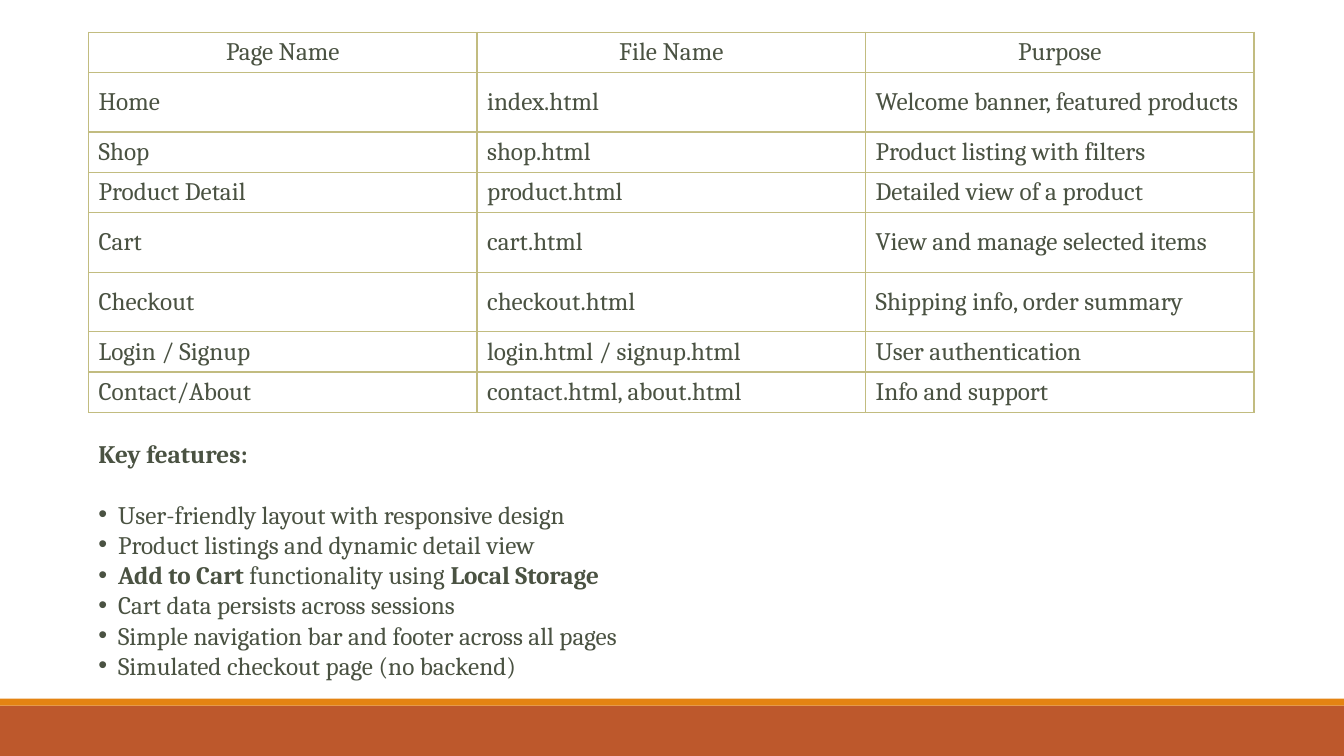
from lxml import etree
from pptx import Presentation
from pptx.dml.color import RGBColor
from pptx.enum import shapes, text
from pptx.oxml import parse_xml
from pptx.oxml.ns import nsdecls, qn
from pptx.util import Pt

GREEN = RGBColor(0x4A, 0x52, 0x42)
KHAKI = RGBColor(0xC2, 0xBC, 0x80)
RUST = RGBColor(0xBD, 0x58, 0x2C)
ORANGE = RGBColor(0xE4, 0x83, 0x12)

SHORT_ROW, TALL_ROW = 28.8, 42.5
PAGES = [
    (SHORT_ROW, "Page Name", "File Name", "Purpose"),
    (TALL_ROW, "Home", "index.html", "Welcome banner, featured products"),
    (SHORT_ROW, "Shop", "shop.html", "Product listing with filters"),
    (SHORT_ROW, "Product Detail", "product.html", "Detailed view of a product"),
    (TALL_ROW, "Cart", "cart.html", "View and manage selected items"),
    (TALL_ROW, "Checkout", "checkout.html", "Shipping info, order summary"),
    (SHORT_ROW, "Login / Signup", "login.html / signup.html", "User authentication"),
    (SHORT_ROW, "Contact/About", "contact.html, about.html", "Info and support"),
]
# Each feature is a list of (wording, bold) runs
FEATURES = [
    [("User-friendly layout with responsive design", False)],
    [("Product listings and dynamic detail view", False)],
    [("Add to Cart", True), (" functionality using ", False), ("Local Storage", True)],
    [("Cart data persists across sessions", False)],
    [("Simple navigation bar and footer across all pages", False)],
    [("Simulated checkout page (no backend)", False)],
]


def style_font(paragraph):
    paragraph.font.name = "Cambria"
    paragraph.font.size = Pt(18)
    paragraph.font.color.rgb = GREEN


presentation = Presentation()
presentation.slide_width, presentation.slide_height = Pt(960), Pt(540)
slide = presentation.slides.add_slide(presentation.slide_layouts[6])

# Footer bars
for top, height, color in [(504, 36, RUST), (499, 5, ORANGE)]:
    bar = slide.shapes.add_shape(
        shapes.MSO_SHAPE.RECTANGLE, Pt(0), Pt(top), Pt(960), Pt(height))
    bar.shadow.inherit = False
    bar.fill.solid()
    bar.fill.fore_color.rgb = color
    bar.line.fill.background()

# Key features
features_box = slide.shapes.add_textbox(Pt(63.3), Pt(309.6), Pt(642), Pt(181.5))
frame = features_box.text_frame
frame.word_wrap = True
heading = frame.paragraphs[0]
heading.text = "Key features:"
heading.space_after = Pt(21.6)
style_font(heading)
heading.font.bold = True

for feature in FEATURES:
    paragraph = frame.add_paragraph()
    properties = paragraph._p.get_or_add_pPr()
    properties.set("marL", str(Pt(14)))
    properties.set("indent", str(-Pt(14)))
    bullet_font = etree.SubElement(properties, qn("a:buFont"))
    bullet_font.set("typeface", "Arial")
    etree.SubElement(properties, qn("a:buChar")).set("char", "•")
    style_font(paragraph)
    for wording, bold in feature:
        run = paragraph.add_run()
        run.text = wording
        run.font.bold = bold

# Page table
table = slide.shapes.add_table(
    len(PAGES), 3, Pt(63.3), Pt(23), Pt(832.5),
    Pt(sum(page[0] for page in PAGES))).table
table.first_row = table.horz_banding = False
for column in table.columns:
    column.width = Pt(277.5)

for row_index, (height, *labels) in enumerate(PAGES):
    table.rows[row_index].height = Pt(height)
    for column_index, label in enumerate(labels):
        cell = table.cell(row_index, column_index)
        cell.vertical_anchor = text.MSO_ANCHOR.MIDDLE
        for side in ("lnL", "lnR", "lnT", "lnB"):
            cell._tc.get_or_add_tcPr().append(parse_xml(
                f'<a:{side} {nsdecls("a")} w="{Pt(1)}"><a:solidFill>'
                f'<a:srgbClr val="{KHAKI}"/></a:solidFill></a:{side}>'))
        cell.fill.background()
        paragraph = cell.text_frame.paragraphs[0]
        paragraph.text = label
        if row_index == 0:
            paragraph.alignment = text.PP_ALIGN.CENTER
        style_font(paragraph)

presentation.save("out.pptx")
